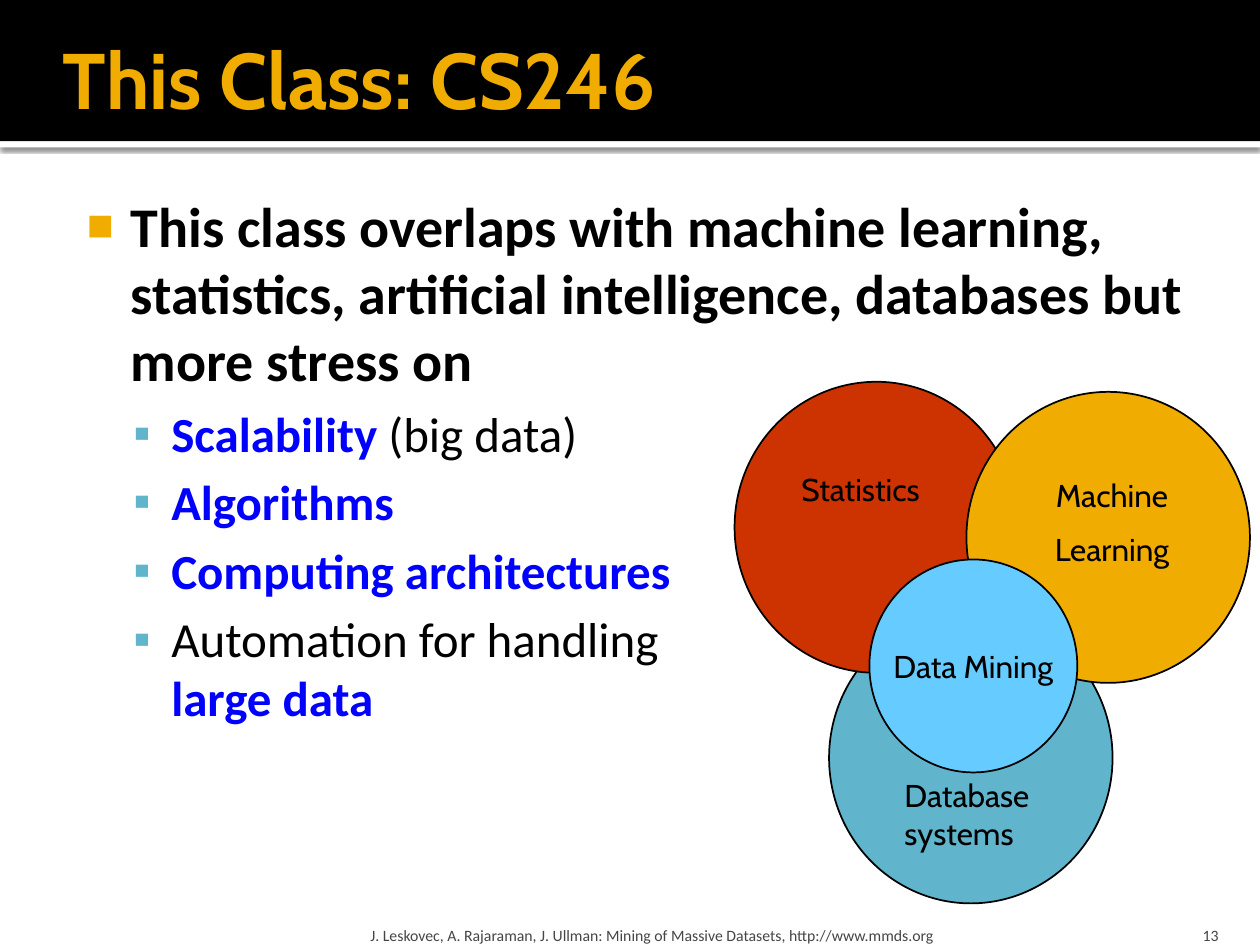
"""Builds a course slide with a bulleted list and a diagram of overlapping fields."""
from lxml.etree import SubElement as Sub
from pptx import Presentation
from pptx.dml.color import RGBColor as Rgb
from pptx.enum.shapes import MSO_SHAPE as Kind
from pptx.enum.text import MSO_ANCHOR as Anchor, PP_ALIGN as Align
from pptx.oxml.ns import qn
from pptx.util import Inches, Pt

BLACK = Rgb(0, 0, 0)
WHITE = Rgb(255, 255, 255)
GOLD = Rgb(0xF0, 0xAD, 0x00)
TEAL = Rgb(0x60, 0xB5, 0xCC)
RED = Rgb(0xCC, 0x33, 0x00)
SKY = Rgb(0x66, 0xCC, 0xFF)
BLUE = Rgb(0, 0, 255)
GRAY = Rgb(0x45, 0x45, 0x45)

COLS, ROWS = 10, 7.5
UNIT = Inches(1)
DISC = (2.25, 2.31)
PAD = (0.1, 0.05, 0.1, 0.05)


def grid(*cells):
    return [int(cell * UNIT) for cell in cells]


def write(para, text, size=18, font="Cabin", color=BLACK, bold=False):
    run = para.add_run()
    run.text = text
    face = run.font
    face.size, face.name, face.bold = Pt(size), font, bold
    face.color.rgb = color


def setup(frame, pad=PAD, anchor=Anchor.TOP, wrap=True):
    frame.word_wrap = wrap
    frame.vertical_anchor = anchor
    (frame.margin_left, frame.margin_top,
     frame.margin_right, frame.margin_bottom) = grid(*pad)
    return frame


def label(slide, cells, lines, align=Align.LEFT, pad=PAD, anchor=Anchor.TOP, **form):
    frame = setup(slide.shapes.add_textbox(*grid(*cells)).text_frame, pad, anchor)
    for row, text in enumerate(lines):
        para = frame.add_paragraph() if row else frame.paragraphs[0]
        para.alignment = align
        para.space_before = Pt(9 if row else 0)
        write(para, text, **form)


def solid(slide, kind, cells, fill, line=None):
    shape = slide.shapes.add_shape(kind, *grid(*cells))
    shape.shadow.inherit = False
    shape.fill.solid()
    shape.fill.fore_color.rgb = fill
    if line is None:
        shape.line.fill.background()
    else:
        shape.line.color.rgb = line
        shape.line.width = Pt(1)
    return shape


def disc(slide, left, top, fill, size=DISC):
    return solid(slide, Kind.OVAL, (left, top, *size), fill, BLACK)


def shade(shape):
    effects = shape._element.spPr.find(qn("a:effectLst"))
    outer = Sub(effects, qn("a:outerShdw"), blurRad=str(Pt(2.5)),
                dist=str(Pt(0.8)), dir="5400000", algn="tl", rotWithShape="0")
    tint = Sub(outer, qn("a:srgbClr"), val="000000")
    Sub(tint, qn("a:alpha"), val="60000")


def bullet(para, mark, color, left, hang, scale=100):
    props = para._p.get_or_add_pPr()
    props.set("marL", str(Inches(left)))
    props.set("indent", str(Inches(-hang)))
    Sub(Sub(props, qn("a:buClr")), qn("a:srgbClr"), val=str(color))
    Sub(props, qn("a:buSzPct"), val=str(scale * 1000))
    Sub(props, qn("a:buFont"), typeface="Arial")
    Sub(props, qn("a:buChar"), char=mark)


def header(slide):
    shade(solid(slide, Kind.RECTANGLE, (0, 1.12, COLS, 0.05), WHITE))
    solid(slide, Kind.RECTANGLE, (0, 0, COLS, 1.12), BLACK)
    label(slide, (0.5, 0.08, 9, 1.08), ["This Class: CS246"], pad=(0, 0.05, 0, 0.05),
          anchor=Anchor.MIDDLE, size=45, color=GOLD, bold=True)


def body(slide):
    box = slide.shapes.add_textbox(*grid(0.5, 1.42, 9, 5.75))
    frame = setup(box.text_frame, (0.06, 0.1, 0.1, 0.05))
    para = frame.paragraphs[0]
    bullet(para, "■", GOLD, 0.48, 0.35, 80)
    write(para, "This class overlaps with machine learning, statistics, "
          "artificial intelligence, databases but more stress on",
          size=32, font="Calibri", bold=True)
    key = dict(size=28, font="Calibri", color=BLUE, bold=True)
    plain = dict(size=28, font="Calibri")
    items = [
        [("Scalability ", key), ("(big data)", plain)],
        [("Algorithms", key)],
        [("Computing architectures", key)],
        [("Automation for handling ", plain), None, ("large data", key)],
    ]
    for item in items:
        para = frame.add_paragraph()
        para.level = 1
        para.space_before = Pt(5.6)
        bullet(para, "▪", TEAL, 0.8, 0.3)
        for part in item:
            if part is None:
                para.add_line_break()
            else:
                write(para, part[0], **part[1])


def fields(slide):
    disc(slide, 6.58, 4.86, TEAL)
    disc(slide, 5.83, 3.03, RED)
    disc(slide, 7.67, 3.11, GOLD)
    label(slide, (7.7, 3.73, 2.25, 0.86), ["Machine", "Learning"],
          Align.CENTER, (0, 0.05, 0, 0.05))
    label(slide, (6.08, 3.68, 1.5, 0.4), ["Statistics"], Align.CENTER)
    core = disc(slide, 6.9, 4.44, SKY, (1.65, 1.69))
    para = setup(core.text_frame, anchor=Anchor.MIDDLE, wrap=False).paragraphs[0]
    para.alignment = Align.CENTER
    write(para, "Data Mining")
    label(slide, (7.08, 6.11, 1.58, 0.7), ["Database systems"])


def footer(slide):
    form = dict(anchor=Anchor.BOTTOM, size=9, font="Calibri", color=GRAY)
    label(slide, (8.97, 7.2, 0.8, 0.3), ["13"], Align.RIGHT, (0.1, 0.05, 0.1, 0), **form)
    label(slide, (2.89, 7.2, 6.02, 0.3),
          ["J. Leskovec, A. Rajaraman, J. Ullman: "
           "Mining of Massive Datasets, http://www.mmds.org"],
          pad=(0.05, 0.05, 0.05, 0), **form)


def main():
    deck = Presentation()
    deck.slide_width, deck.slide_height = grid(COLS, ROWS)
    slide = deck.slides.add_slide(deck.slide_layouts[6])
    for part in (header, body, footer, fields):
        part(slide)
    deck.save("out.pptx")


main()
